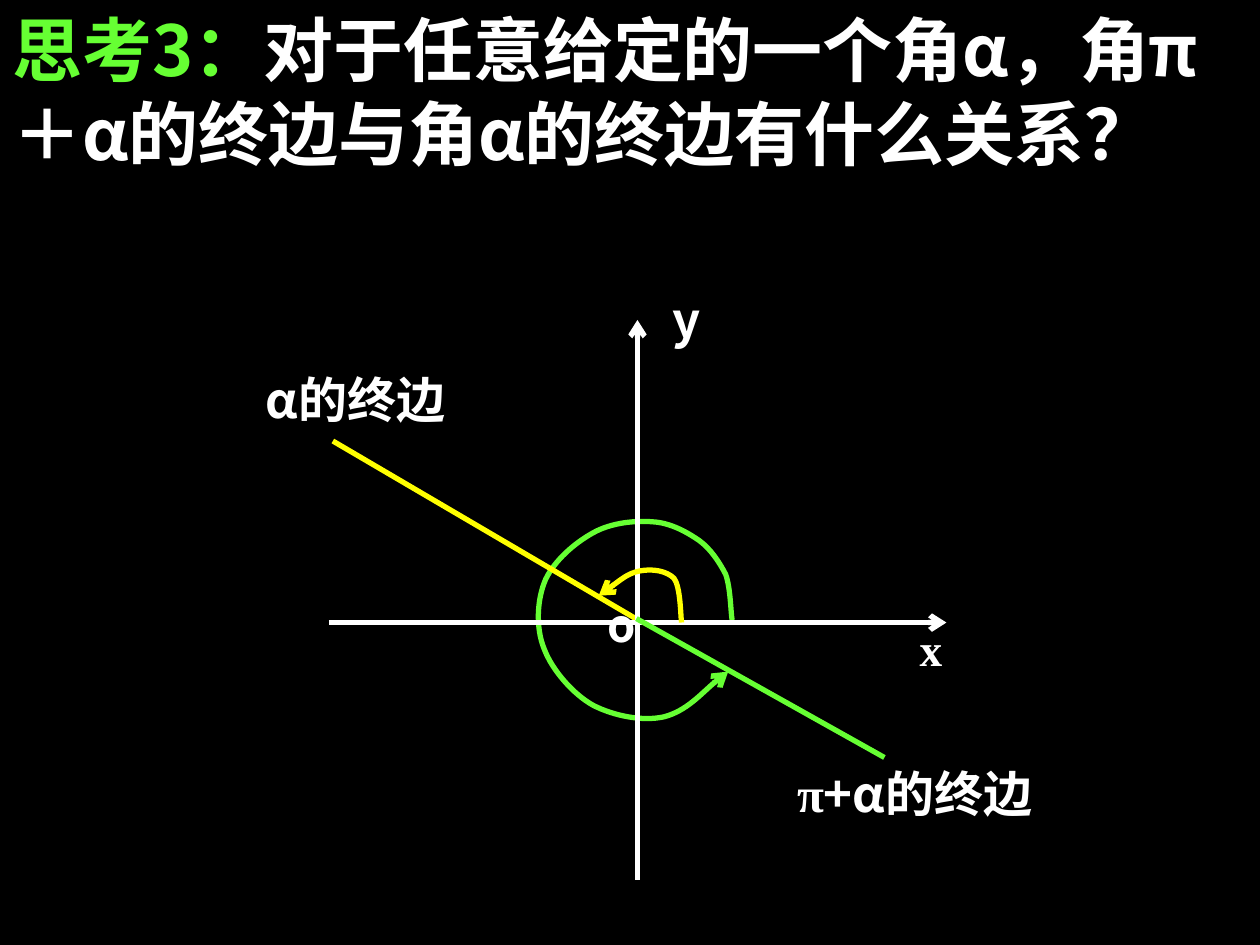
import dataclasses

import lxml.etree
import pptx
import pptx.dml.color
import pptx.enum.shapes
import pptx.enum.text
import pptx.oxml.ns
import pptx.util

Cm = pptx.util.Cm
Pt = pptx.util.Pt
qn = pptx.oxml.ns.qn
Align = pptx.enum.text.PP_ALIGN
Fit = pptx.enum.text.MSO_AUTO_SIZE


@dataclasses.dataclass(frozen=True)
class Theme:
    back: str = "000000"
    ink: str = "FFFFFF"
    green: str = "66FF33"
    yellow: str = "FFFF00"
    sans: str = "Noto Sans CJK SC"
    serif: str = "Times New Roman"
    title: float = 40
    label: float = 28
    axis: float = 25.9
    stroke: float = 3
    edge: float = 0.75


THEME = Theme()

# Each curve is a start point, then three points for every Bezier piece (cm).
TURN = [
    (14.76, 12.5),
    (14.73, 12.34), (14.73, 11.86), (14.63, 11.58),
    (14.5, 11.33), (14.33, 11.07), (14.1, 10.9),
    (13.84, 10.72), (13.51, 10.54), (13.16, 10.52),
    (12.8, 10.49), (12.32, 10.54), (11.96, 10.74),
    (11.58, 10.95), (11.18, 11.3), (11, 11.68),
    (10.82, 12.09), (10.8, 12.67), (10.97, 13.08),
    (11.13, 13.51), (11.56, 14), (11.96, 14.22),
    (12.37, 14.43), (12.95, 14.55), (13.39, 14.45),
    (13.84, 14.33), (14.4, 13.72), (14.68, 13.54),
]
ALPHA = [
    (13.74, 12.55),
    (13.72, 12.4), (13.72, 11.84), (13.59, 11.66),
    (13.44, 11.51), (13.16, 11.46), (12.9, 11.51),
    (12.65, 11.56), (12.24, 11.89), (12.07, 12.01),
]


def rgb(code):
    return pptx.dml.color.RGBColor.from_string(code)


def add(parent, tag, **attrs):
    return lxml.etree.SubElement(parent, qn(tag), attrs)


def put(item, values):
    for key, value in values.items():
        setattr(item, key, value)


def ink(line, color, width=THEME.stroke, arrow=False):
    line.color.rgb = rgb(color)
    line.width = Pt(width)
    if arrow:
        add(line._get_or_add_ln(), "a:tailEnd", type="arrow")


def ray(slide, start, end, color, arrow=False):
    kind = pptx.enum.shapes.MSO_CONNECTOR.STRAIGHT
    ends = [Cm(n) for n in (*start, *end)]
    item = slide.shapes.add_connector(kind, *ends)
    ink(item.line, color, arrow=arrow)
    add(item._element.spPr, "a:effectLst")


def curve(slide, points, color):
    """Draw an open Bezier curve that ends in an arrow."""
    first, *rest = [(Cm(x), Cm(y)) for x, y in points]
    form = slide.shapes.build_freeform(*first)
    form.add_line_segments(rest, close=False)
    item = form.convert_to_shape()
    item.shadow.inherit = False
    item.fill.background()
    ink(item.line, color, arrow=True)
    route = next(item._element.iter(qn("a:path")))
    steps = route.findall(qn("a:lnTo"))
    for i in range(0, len(steps), 3):
        bend = add(route, "a:cubicBezTo")
        for step in steps[i:i + 3]:
            bend.append(step[0])
            route.remove(step)


def write(item, runs, size, align=Align.JUSTIFY, space=None, fit=Fit.NONE):
    """Fill a shape with one paragraph of (text, font, color) runs."""
    frame = item.text_frame
    put(frame, {
        "word_wrap": True,
        "auto_size": fit,
        "vertical_anchor": pptx.enum.text.MSO_ANCHOR.TOP,
    })
    para = frame.paragraphs[0]
    put(para, {"alignment": align, "line_spacing": space})
    for text, face, color in runs:
        run = para.add_run()
        run.text = text
        put(run.font, {"name": face, "size": Pt(size), "bold": True})
        run.font.color.rgb = rgb(color)
        add(run.font._element, "a:ea", typeface=THEME.sans)


def label(slide, box, runs, size, **style):
    item = slide.shapes.add_textbox(*[Cm(n) for n in box])
    write(item, runs, size, **style)


def frame(slide, box, runs, size):
    """Add a label in a thinly outlined rectangle."""
    kind = pptx.enum.shapes.MSO_SHAPE.RECTANGLE
    item = slide.shapes.add_shape(kind, *[Cm(n) for n in box])
    item.shadow.inherit = False
    item.fill.background()
    ink(item.line, THEME.back, THEME.edge)
    write(item, runs, size)


def main():
    t = THEME
    deck = pptx.Presentation()
    put(deck, {"slide_width": Cm(25.4), "slide_height": Cm(19.05)})
    slide = deck.slides.add_slide(deck.slide_layouts[6])
    fill = slide.background.fill
    fill.solid()
    fill.fore_color.rgb = rgb(t.back)

    curve(slide, TURN, t.green)
    label(slide, (5.11, 7.32, 5.18, 1.68),
          [("α", t.sans, t.ink), ("的终边", t.serif, t.ink)], t.label)
    ray(slide, (12.9, 12.52), (6.71, 8.89), t.yellow)
    ray(slide, (6.63, 12.55), (19.08, 12.55), t.ink, arrow=True)
    ray(slide, (12.85, 17.73), (12.85, 6.45), t.ink, arrow=True)
    label(slide, (18.29, 12.52, 1.42, 1.42),
          [("x", t.serif, t.ink)], t.axis, space=0.9)
    frame(slide, (13.31, 5.72, 1.6, 1.6), [("y", t.sans, t.ink)], t.label)
    curve(slide, ALPHA, t.yellow)
    label(slide, (11.99, 12.04, 1.42, 1.42),
          [("o", t.sans, t.ink)], t.axis, space=0.9)
    label(slide, (15.82, 15.27, 8.15, 2.46),
          [("π", t.serif, t.ink), ("+α", t.sans, t.ink),
           ("的终边", t.serif, t.ink)], t.label)
    ray(slide, (12.83, 12.47), (17.83, 15.27), t.green)
    label(slide, (0, 0, 24.89, 3.66),
          [("思考3：", t.sans, t.green),
           ("对于任意给定的一个角α，角π＋α的终边与角α的终边有什么关系？",
            t.sans, t.ink)],
          t.title, align=Align.LEFT, fit=Fit.SHAPE_TO_FIT_TEXT)
    deck.save("out.pptx")


if __name__ == "__main__":
    main()
